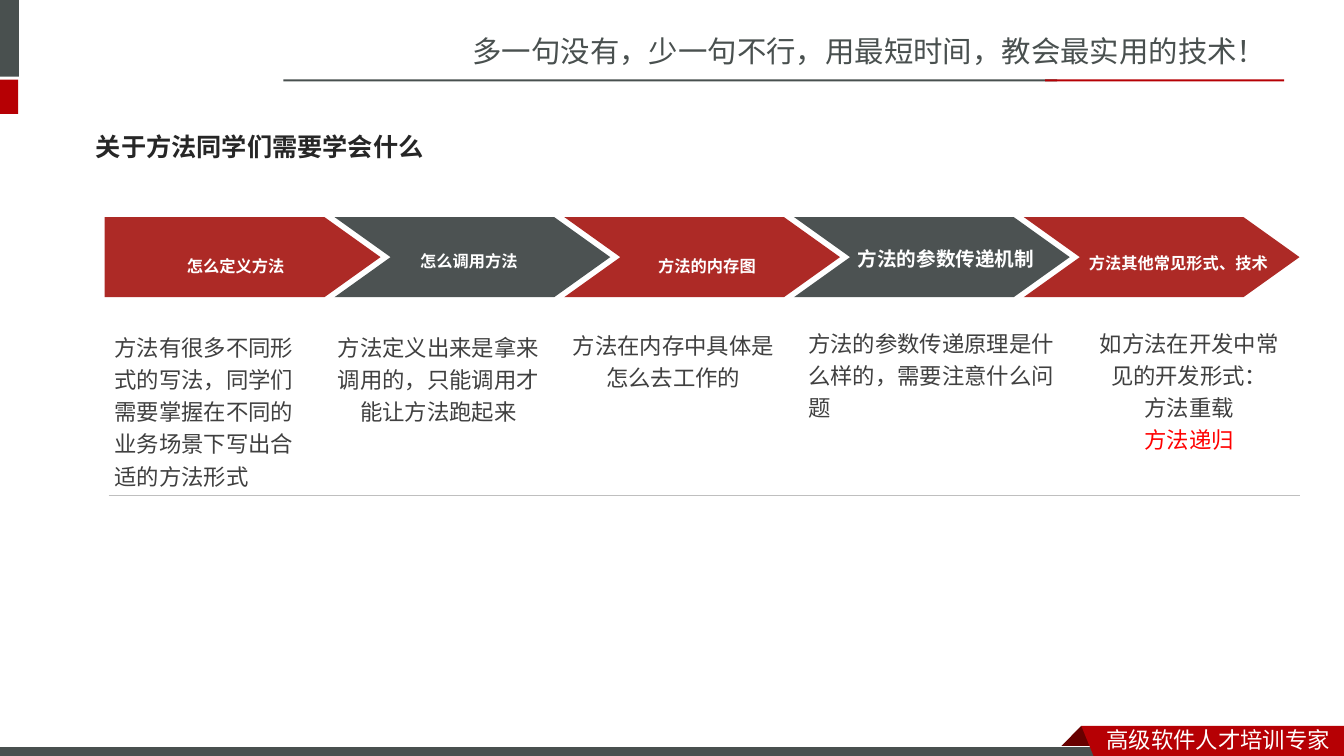
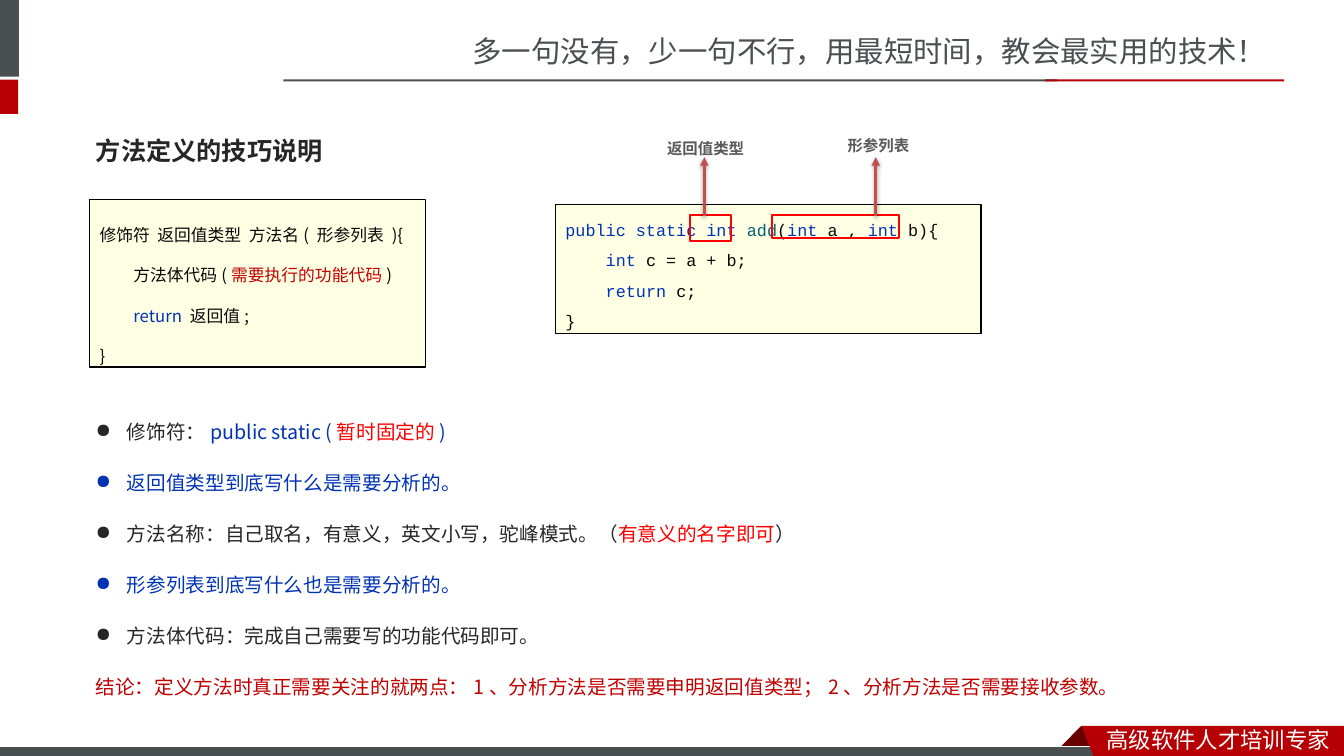
"""Build two slides on defining methods, in one shared course style."""
from lxml import etree
from pptx import Presentation
from pptx.dml.color import RGBColor
from pptx.enum.shapes import MSO_CONNECTOR, MSO_SHAPE
from pptx.enum.text import MSO_ANCHOR, PP_ALIGN
from pptx.oxml.ns import qn
from pptx.util import Cm, Pt

RECT = MSO_SHAPE.RECTANGLE
PENTAGON, CHEVRON = MSO_SHAPE.PENTAGON, MSO_SHAPE.CHEVRON
STRAIGHT = MSO_CONNECTOR.STRAIGHT
TOP, MIDDLE = MSO_ANCHOR.TOP, MSO_ANCHOR.MIDDLE
LEFT, CENTER = PP_ALIGN.LEFT, PP_ALIGN.CENTER

GREY, CRIMSON, MAROON = "49504F", "B60004", "680000"
BRICK, SLATE, WHITE, BLACK = "AD2A26", "4C5252", "FFFFFF", "000000"
INK, BODY, CAPTION = "262626", "404040", "595959"
RED, DARK_RED, ARROW = "FF0000", "C00000", "C0504D"
CODE, KEYWORD, FUNCTION, CREAM = "080808", "0033B3", "00627A", "FFFFE4"
DIVIDER = "BFBFBF"
SANS, BANNER, MONO = "Noto Sans CJK JP", "Noto Sans CJK SC", "Courier New"


def rgb(value):
    return RGBColor.from_string(value)


class Deck:
    """Hold the presentation, its style and the current slide."""

    def __init__(self):
        self.prs = Presentation()
        self.prs.slide_width, self.prs.slide_height = Cm(33.87), Cm(19.05)
        self.shapes = None

    def new_slide(self, title, title_top):
        self.shapes = self.prs.slides.add_slide(self.prs.slide_layouts[6]).shapes
        self.text((11.66, 0.71, 22.2, 1.14), ["多一句没有，少一句不行，用最短时间，教会最实用的技术！"],
                  size=21, color=GREY, font=BANNER)
        self.shape(RECT, (0, 0, 0.48, 1.93), GREY)
        self.shape(RECT, (0, 2.01, 0.46, 0.86), CRIMSON)
        self.shape(RECT, (7.14, 2, 19.5, 0.05), GREY)
        self.shape(RECT, (26.34, 2, 6.02, 0.05), CRIMSON)
        self.outline([(27.25, 18.29), (27.81, 18.85), (26.7, 18.85)], MAROON)
        self.shape(RECT, (-0.03, 18.82, 27.94, 0.3), GREY, WHITE, 0.75)
        self.outline([(27.25, 18.29), (33.87, 18.29), (33.87, 19.05), (27.56, 19.05)], CRIMSON)
        self.text((27.64, 18.16, 6.22, 0.94), ["高级软件人才培训专家"],
                  size=16, color=WHITE, font=BANNER)
        self.text((2.17, title_top, 10.36, 1.45), [title],
                  size=18, color=INK, bold=True, anchor=MIDDLE)

    def paint(self, shape, fill=None, line=None, width=1):
        shape.shadow.inherit = False
        if fill:
            shape.fill.solid()
            shape.fill.fore_color.rgb = rgb(fill)
        else:
            shape.fill.background()
        if line:
            shape.line.color.rgb = rgb(line)
            shape.line.width = Pt(width)
        else:
            shape.line.fill.background()

    def shape(self, kind, box, fill=None, line=None, width=1):
        shape = self.shapes.add_shape(kind, *map(Cm, box))
        self.paint(shape, fill, line, width)
        return shape

    def outline(self, points, fill):
        start, *rest = [(Cm(x), Cm(y)) for x, y in points]
        builder = self.shapes.build_freeform(*start)
        builder.add_line_segments(rest, close=True)
        self.paint(builder.convert_to_shape(), fill)

    def text(self, box, paragraphs, inset=0.13, **style):
        frame = self.shapes.add_textbox(*map(Cm, box)).text_frame
        frame.margin_top = frame.margin_bottom = Cm(inset)
        self.typeset(frame, paragraphs, **style)

    def code(self, box, lines, font, spacing):
        panel = self.shape(RECT, box, CREAM, BLACK)
        self.typeset(panel.text_frame, lines, size=12, color=CODE, font=font, spacing=spacing)

    def typeset(self, frame, paragraphs, size, color, font=SANS, bold=False, align=LEFT,
                anchor=TOP, spacing=None, before=0, bullets=0, baseline=None):
        frame.word_wrap = True
        frame.vertical_anchor = anchor
        for index, content in enumerate(paragraphs):
            para = frame.add_paragraph() if index else frame.paragraphs[0]
            para.alignment = align
            if index < bullets:
                props = para._p.get_or_add_pPr()
                props.set("marL", str(Cm(0.79)))
                props.set("indent", str(-Cm(0.79)))
                etree.SubElement(props, qn("a:buChar"), char="●")
            if spacing:
                para.line_spacing = spacing
            if before and index:
                para.space_before = Pt(before)
            pieces = [(content, color)] if isinstance(content, str) else content
            for words, tint in pieces:
                run = para.add_run()
                run.text = words
                run.font.size, run.font.bold = Pt(size), bold
                run.font.name = font
                run.font.color.rgb = rgb(tint)
                props = run._r.get_or_add_rPr()
                etree.SubElement(props, qn("a:ea"), typeface=font)
                if baseline:
                    props.set("baseline", str(baseline))

    def line(self, start, end, color, width, arrow=False):
        line = self.shapes.add_connector(STRAIGHT, *map(Cm, start + end))
        line.line.color.rgb = rgb(color)
        line.line.width = Pt(width)
        effects = etree.SubElement(line._element.spPr, qn("a:effectLst"))
        if arrow:
            etree.SubElement(line.line._get_or_add_ln(), qn("a:tailEnd"), type="triangle")
            shadow = etree.SubElement(effects, qn("a:outerShdw"), blurRad="40000",
                                      dist="20000", dir="5400000", rotWithShape="0")
            tint = etree.SubElement(shadow, qn("a:srgbClr"), val=BLACK)
            etree.SubElement(tint, qn("a:alpha"), val="38000")


def learning_steps(deck):
    deck.new_slide("关于方法同学们需要学会什么", 2.97)
    small = {"size": 20, "baseline": -3000}
    steps = [
        ("怎么定义方法", (2.98, 6.02, 0.91), {**small, "spacing": 1.2},
         (2.64, 8.15, 5.38), LEFT,
         ["方法有很多不同形式的写法，同学们需要掌握在不同的业务场景下写出合适的方法形式"]),
        ("怎么调用方法", (8.86, 6.02, 0.84), small,
         (8.13, 8.15, 5.84), CENTER,
         ["方法定义出来是拿来调用的，只能调用才能让方法跑起来"]),
        ("方法的内存图", (14.86, 6.02, 0.91), {**small, "spacing": 1.2},
         (14.05, 8.1, 5.84), CENTER, ["方法在内存中具体是怎么去工作的"]),
        ("方法的参数传递机制", (20.88, 5.99, 0.94), {"size": 14, "spacing": 1.2},
         (20.12, 8.05, 6.98), LEFT,
         ["方法的参数传递原理是什么样的，需要注意什么问题"]),
        ("方法其他常见形式、技术", (26.74, 6.07, 0.84), small,
         (27.28, 8.05, 5.38), CENTER,
         ["如方法在开发中常见的开发形式：", "方法重载", [("方法递归", RED)]]),
    ]
    for index, (label, label_place, label_style, detail_place, align, details) in enumerate(steps):
        step = deck.shape(CHEVRON if index else PENTAGON, (2.64 + 5.79 * index, 5.47, 6.95, 2.02),
                          SLATE if index % 2 else BRICK)
        step.adjustments[0] = 0.7
        left, top, height = label_place
        deck.text((left, top, 5.92, height), [label], inset=0, color=WHITE, bold=True,
                  align=CENTER, anchor=MIDDLE, **label_style)
        deck.text((*detail_place, 4.3), details, size=16, color=BODY, align=align, spacing=1.2)
    deck.line((2.74, 12.47), (32.77, 12.47), DIVIDER, 0.25)


def definition_tips(deck):
    deck.new_slide("方法定义的技巧说明", 3.07)
    deck.code((2.26, 5.03, 8.46, 4.22), [
        "修饰符  返回值类型  方法名( 形参列表 ){",
        [("         方法体代码(", CODE), ("需要执行的功能代码", DARK_RED), (")", CODE)],
        [("         ", CODE), ("return ", KEYWORD), ("返回值;", CODE)],
        "}",
    ], SANS, 2.0)
    deck.text((2.16, 10.26, 30.56, 7.06), [
        [("修饰符：", INK), ("public static (", KEYWORD), ("暂时固定的", RED), (")", KEYWORD)],
        [("返回值类型到底写什么是需要分析的。", KEYWORD)],
        [("方法名称：自己取名，有意义，英文小写，驼峰模式。（", INK),
         ("有意义的名字即可", RED), ("）", INK)],
        [("形参列表到底写什么也是需要分析的。", KEYWORD)],
        "方法体代码：完成自己需要写的功能代码即可。",
        [("结论：定义方法时真正需要关注的就两点：1、分析方法是否需要申明返回值类型；"
          "2、分析方法是否需要接收参数。", DARK_RED)],
    ], size=14, color=INK, anchor=MIDDLE, spacing=2.0, before=2.8, bullets=5)
    deck.code((14, 5.16, 10.72, 3.25), [
        [("public static int ", KEYWORD), ("add", FUNCTION), ("(", CODE), ("int ", KEYWORD),
         ("a , ", CODE), ("int ", KEYWORD), ("b){", CODE)],
        [("    ", CODE), ("int ", KEYWORD), ("c ", BLACK), ("= a + b;", CODE)],
        [("    ", CODE), ("return ", KEYWORD), ("c;", BLACK)],
        "}",
    ], MONO, 1.5)
    callouts = [
        ("返回值类型", (16.56, 3.38), (17.4, 5.41, 1.02, 0.66), 17.75),
        ("形参列表", (21.11, 3.3), (19.46, 5.41, 3.2, 0.58), 22.07),
    ]
    for caption, place, marker, arrow_x in callouts:
        deck.shape(RECT, marker, None, RED, 1.5)
        deck.line((arrow_x, 5.44), (arrow_x, 3.96), ARROW, 2, arrow=True)
        deck.text((*place, 2.8, 0.74), [caption], size=11, color=CAPTION, bold=True)


def main():
    deck = Deck()
    learning_steps(deck)
    definition_tips(deck)
    deck.prs.save("out.pptx")


if __name__ == "__main__":
    main()
